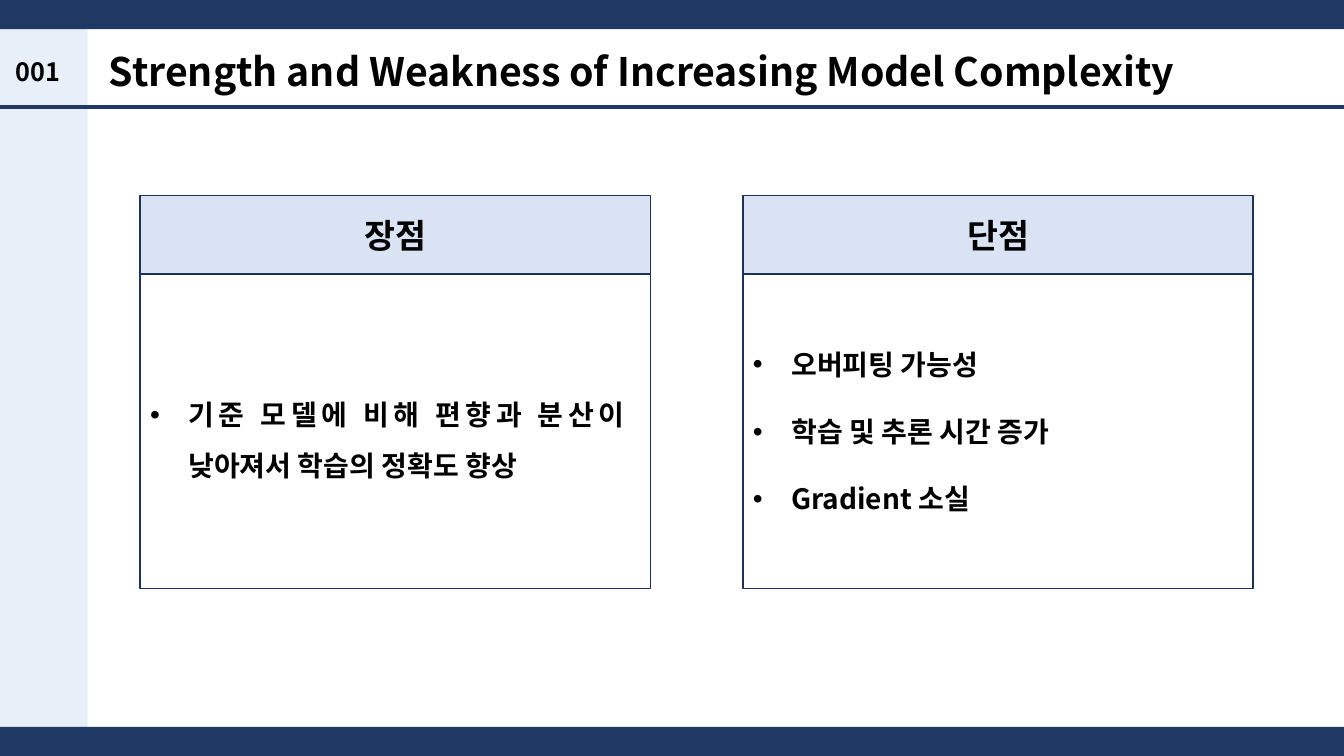
"""Build a slide weighing the pros and cons of a more complex model."""
import pptx
import pptx.dml.color
import pptx.enum.shapes
import pptx.enum.text
import pptx.oxml
import pptx.oxml.ns
import pptx.util

Inches = pptx.util.Inches
Pt = pptx.util.Pt
ALIGN = pptx.enum.text.PP_ALIGN
ANCHOR = pptx.enum.text.MSO_ANCHOR
qn = pptx.oxml.ns.qn


def color(hex_code):
    return pptx.dml.color.RGBColor.from_string(hex_code)


def apply(target, values):
    for name, value in values.items():
        setattr(target, name, value)


def add_xml(parent, tag, **attributes):
    child = parent.makeelement(qn(tag), attributes)
    parent.append(child)
    return child


class SlideBuilder:
    FONT = "Noto Sans CJK KR"
    NAVY, OUTLINE, HEADING, SIDEBAR = "203864", "1E3256", "DAE3F3", "DEEBF7"

    def __init__(self, deck):
        self.slide = deck.slides.add_slide(deck.slide_layouts[5])

    def fill_text(self, frame, lines, size, align, anchor=ANCHOR.TOP,
                  bullet=False, **spacing):
        apply(frame, {"word_wrap": True, "vertical_anchor": anchor})
        for index, line in enumerate(lines):
            paragraph = frame.paragraphs[0] if index == 0 else frame.add_paragraph()
            paragraph.text = line
            if bullet:
                properties = paragraph._p.get_or_add_pPr()
                properties.set("marL", str(Inches(0.38)))
                properties.set("indent", str(Inches(-0.38)))
                add_xml(properties, "a:buFont", typeface="Arial")
                add_xml(properties, "a:buChar", char="•")
            apply(paragraph, {"alignment": align, **spacing})
            if index == 0:
                paragraph.space_before = Pt(0)
            apply(paragraph.font, {"size": Pt(size), "bold": True})
            for run in paragraph.runs:
                apply(run.font, {"name": self.FONT, "size": Pt(size), "bold": True})
                run.font.color.rgb = color("000000")
                add_xml(run._r.get_or_add_rPr(), "a:ea", typeface=self.FONT)

    def title(self, text, left, top, width, height):
        heading = self.slide.shapes.title
        apply(heading, {"left": Inches(left), "top": Inches(top),
                        "width": Inches(width), "height": Inches(height)})
        heading.text_frame.auto_size = pptx.enum.text.MSO_AUTO_SIZE.NONE
        self.fill_text(heading.text_frame, [text], 28, ALIGN.LEFT)

    def label(self, text, left, top, width, height):
        box = self.slide.shapes.add_textbox(*map(Inches, (left, top, width, height)))
        self.fill_text(box.text_frame, [text], 18, ALIGN.JUSTIFY)

    def rectangle(self, left, top, width, height, fill=None, outline=None, alpha=None):
        shape = self.slide.shapes.add_shape(
            pptx.enum.shapes.MSO_SHAPE.RECTANGLE,
            *map(Inches, (left, top, width, height)))
        shape.shadow.inherit = False
        if fill:
            shape.fill.solid()
            shape.fill.fore_color.rgb = color(fill)
        else:
            shape.fill.background()
        if alpha:
            tint = shape._element.spPr.find(qn("a:solidFill"))[0]
            add_xml(tint, "a:alpha", val=str(alpha * 1000))
        if outline:
            shape.line.color.rgb = color(outline)
            shape.line.width = Pt(1)
        else:
            shape.line.fill.background()
        return shape

    def rule(self, top, width):
        line = self.slide.shapes.add_connector(
            pptx.enum.shapes.MSO_CONNECTOR.STRAIGHT,
            0, Inches(top), Inches(width), Inches(top))
        line.line.color.rgb = color(self.NAVY)
        line.line.width = Pt(3)
        add_xml(line._element.spPr, "a:effectLst")

    def panel(self, left, heading, points, **spacing):
        top, width, heading_height = 1.94, 5.06, 0.78
        header = self.rectangle(left, top, width, heading_height,
                                self.HEADING, self.OUTLINE)
        self.fill_text(header.text_frame, [heading], 24, ALIGN.CENTER, ANCHOR.MIDDLE)
        body = self.rectangle(left, top + heading_height, width, 3.12,
                              outline=self.OUTLINE)
        self.fill_text(body.text_frame, points, 20, ALIGN.JUSTIFY, ANCHOR.MIDDLE,
                       bullet=True, **spacing)


def main():
    deck = pptx.Presentation()
    width, height, band = 13.33, 7.5, 0.29
    apply(deck, {"slide_width": Inches(width), "slide_height": Inches(height)})
    builder = SlideBuilder(deck)
    builder.title("Strength and Weakness of Increasing Model Complexity",
                  0.98, 0.42, 11.14, 0.57)
    builder.rectangle(0, 0, 0.87, height, builder.SIDEBAR, alpha=72)
    for band_top in (0, height - band):
        builder.rectangle(0, band_top, width, band, builder.NAVY)
    builder.rule(1.06, width)
    builder.label("001", 0.06, 0.51, 0.74, 0.4)
    builder.panel(1.39, "장점",
                  ["기준 모델에 비해 편향과 분산이 \v낮아져서 학습의 정확도 향상"],
                  line_spacing=1.5)
    builder.panel(7.37, "단점",
                  ["오버피팅 가능성", "학습 및 추론 시간 증가", "Gradient 소실"],
                  space_before=Pt(24))
    deck.save("out.pptx")


if __name__ == "__main__":
    main()
